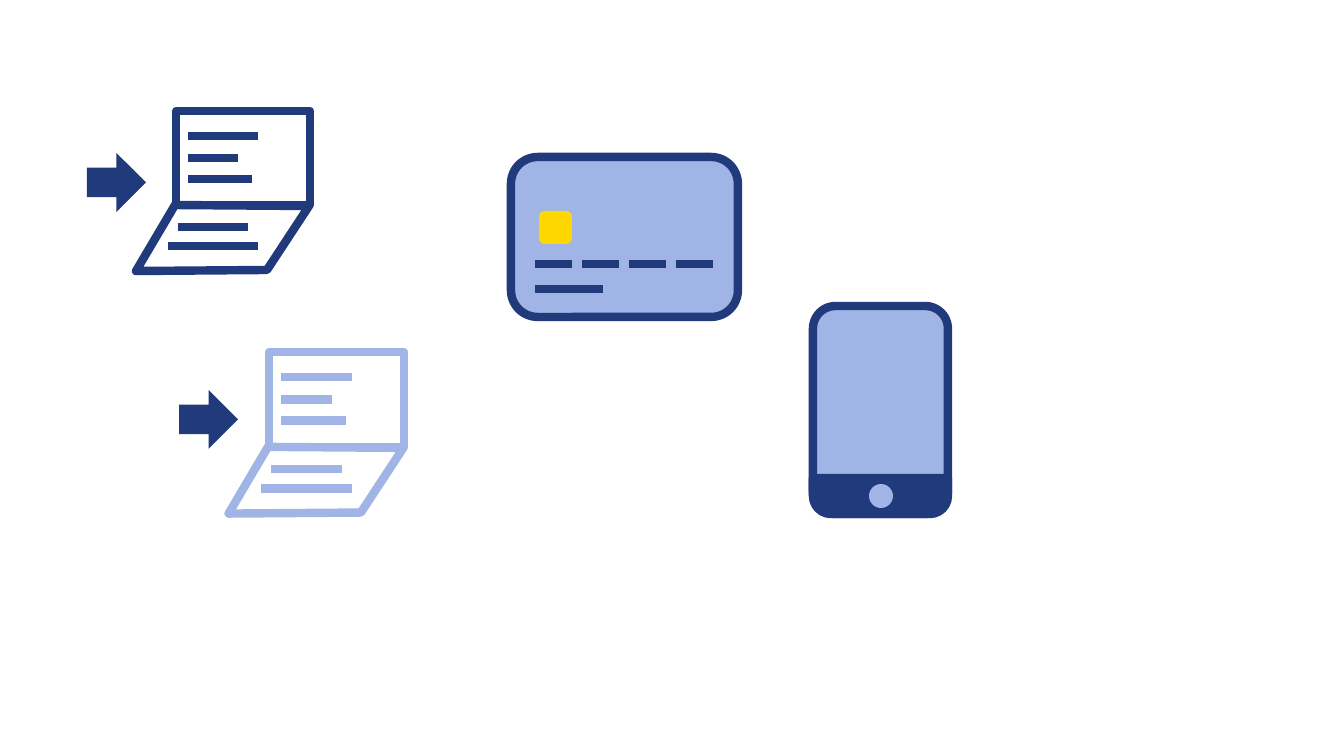
from lxml.etree import SubElement
from pptx import Presentation
from pptx.dml.color import RGBColor
from pptx.enum.shapes import MSO_CONNECTOR, MSO_SHAPE
from pptx.oxml.ns import qn
from pptx.util import Pt

NAVY = RGBColor(0x20, 0x3A, 0x7B)
SKY = RGBColor(0xA0, 0xB4, 0xE6)
GOLD = RGBColor(0xFF, 0xD7, 0x00)

PIXEL = 914400 / 100.8
STROKE = Pt(6)
ROUNDING = 0.167

# Laptops: screen corner, arrow corner, colour and scale
LAPTOPS = [
    {"corner": (269, 352), "arrow": (179, 390), "color": SKY, "scale": 1.01},
    {"corner": (176, 111), "arrow": (87, 153), "color": NAVY, "scale": 1},
]
# Laptop parts, measured from the corner of the screen
SCREEN = (134, 94)
KEYBOARD = [(-1, 94), (133, 95), (91, 159), (-40, 160)]
LAPTOP_LINES = [(12, 82, 25), (12, 62, 47), (12, 76, 68), (2, 72, 116), (-8, 82, 135)]
ARROW_SIZE = 59

CARD = (511, 157, 227, 160)
CHIP = (539, 211, 33, 33)
NUMBER_LEFT, NUMBER_TOP = 535, 264
NUMBER_COUNT, NUMBER_WIDTH, NUMBER_STEP = 4, 37, 47
NAME_LINE = (535, 603, 289)

PHONE = (813, 306, 135, 208)
PHONE_BASE = (813, 478, 135, 36)
PHONE_BUTTON = (869, 484, 24, 24)


def emu(pixels):
    """Turn pixels into EMU."""
    return round(pixels * PIXEL)


def style(shape, fill=None, line=None):
    """Set fill and outline; None leaves either one out."""
    shape.shadow.inherit = False
    if fill is None:
        shape.fill.background()
    else:
        shape.fill.solid()
        shape.fill.fore_color.rgb = fill
    if line is None:
        shape.line.fill.background()
    else:
        shape.line.color.rgb = line
        shape.line.width = STROKE
        SubElement(shape.line._get_or_add_ln(), qn("a:round"))


def add_box(group, kind, place, fill=None, line=None, adjust=()):
    """Add a preset shape at left, top, width, height."""
    box = group.shapes.add_shape(kind, *map(emu, place))
    for index, value in enumerate(adjust):
        box.adjustments[index] = value
    style(box, fill, line)


def add_stroke(group, start, end, height, color):
    """Add a thick horizontal line."""
    stroke = group.shapes.add_connector(
        MSO_CONNECTOR.STRAIGHT, emu(start), emu(height), emu(end), emu(height))
    stroke.line.color.rgb = color
    stroke.line.width = STROKE
    SubElement(stroke._element.spPr, qn("a:effectLst"))


def add_laptop(page, corner, arrow, color, scale):
    """Add an open laptop with text lines and an arrow beside it."""
    group = page.shapes.add_group_shape()
    left, top = corner
    width, height = SCREEN
    add_box(group, MSO_SHAPE.RECTANGLE,
            (left, top, width * scale, height * scale), line=color)
    points = [(emu(left + x * scale), emu(top + y * scale)) for x, y in KEYBOARD]
    builder = group.shapes.build_freeform(*points[0])
    builder.add_line_segments(points[1:], close=True)
    style(builder.convert_to_shape(), line=color)
    for start, end, drop in LAPTOP_LINES:
        add_stroke(group, left + start * scale, left + end * scale,
                   top + drop * scale, color)
    add_box(group, MSO_SHAPE.RIGHT_ARROW, (*arrow, ARROW_SIZE, ARROW_SIZE), NAVY)


def add_card(page):
    """Add the bank card."""
    group = page.shapes.add_group_shape()
    add_box(group, MSO_SHAPE.ROUNDED_RECTANGLE, CARD, SKY, NAVY, [ROUNDING])
    for index in range(NUMBER_COUNT):
        start = NUMBER_LEFT + index * NUMBER_STEP
        add_stroke(group, start, start + NUMBER_WIDTH, NUMBER_TOP, NAVY)
    add_stroke(group, *NAME_LINE, NAVY)
    add_box(group, MSO_SHAPE.ROUNDED_RECTANGLE, CHIP, GOLD, adjust=[ROUNDING])


def add_phone(page):
    """Add the phone."""
    group = page.shapes.add_group_shape()
    add_box(group, MSO_SHAPE.ROUNDED_RECTANGLE, PHONE, SKY, NAVY, [ROUNDING])
    add_box(group, MSO_SHAPE.ROUND_2_SAME_RECTANGLE, PHONE_BASE, NAVY, NAVY, [0, 0.5])
    add_box(group, MSO_SHAPE.OVAL, PHONE_BUTTON, SKY)


deck = Presentation()
deck.slide_width, deck.slide_height = emu(1344), emu(756)
page = deck.slides.add_slide(deck.slide_layouts[6])
for laptop in LAPTOPS:
    add_laptop(page, **laptop)
add_card(page)
add_phone(page)
deck.save("out.pptx")
